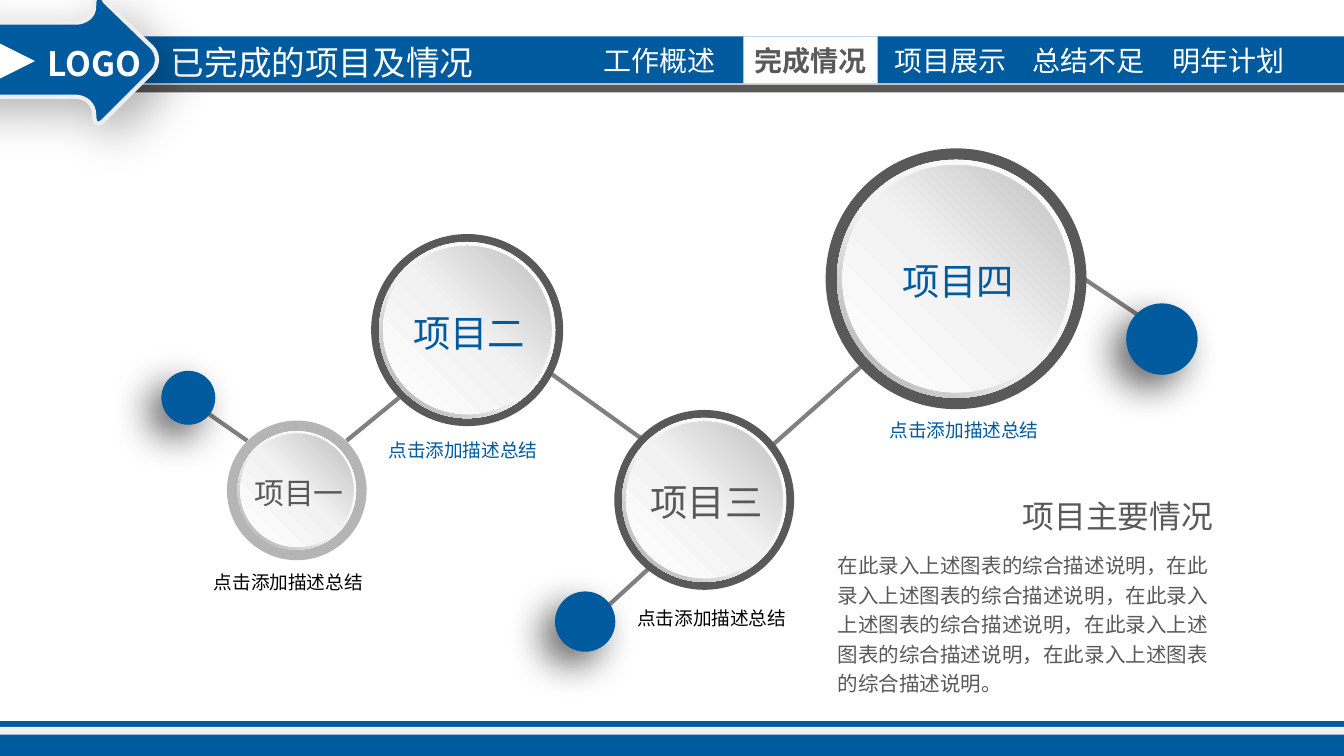
from lxml import etree
from pptx import Presentation
from pptx.dml.color import RGBColor
from pptx.enum.shapes import MSO_CONNECTOR, MSO_SHAPE
from pptx.enum.text import MSO_ANCHOR, PP_ALIGN
from pptx.oxml.ns import qn
from pptx.util import Cm, Pt

FONT = "Noto Sans CJK SC"
BLUE = RGBColor(0x00, 0x5A, 0x9E)
GRAY = RGBColor(0x59, 0x59, 0x59)
LINE_GRAY = RGBColor(0x80, 0x80, 0x80)
PALE = RGBColor(0xF2, 0xF2, 0xF2)
EDGE = RGBColor(0xEE, 0xEE, 0xEE)
NEAR_BLACK = RGBColor(0x0D, 0x0D, 0x0D)
BLACK = RGBColor(0x00, 0x00, 0x00)
WHITE = RGBColor(0xFF, 0xFF, 0xFF)
RING_STOPS = ((0, WHITE), (55, PALE), (100, RGBColor(0xA6, 0xA6, 0xA6)))
FACE_STOPS = ((0, WHITE), (51, PALE), (100, RGBColor(0xBF, 0xBF, 0xBF)))

RECTANGLE, OVAL, DONUT = MSO_SHAPE.RECTANGLE, MSO_SHAPE.OVAL, MSO_SHAPE.DONUT
EXTRACT = MSO_SHAPE.FLOWCHART_EXTRACT
STRAIGHT = MSO_CONNECTOR.STRAIGHT
LEFT, CENTER, RIGHT = PP_ALIGN.LEFT, PP_ALIGN.CENTER, PP_ALIGN.RIGHT
TOP, MIDDLE = MSO_ANCHOR.TOP, MSO_ANCHOR.MIDDLE

ARROW_START = (1.85, -0.08)
ARROW_STEPS = [
    [(1.9, -0.08), (1.96, -0.03), (1.98, 0.03)],
    [(2.87, 0.89)],
    [(3, 1.02), (3, 1.24), (2.87, 1.37)],
    [(1.98, 2.26)],
    [(1.85, 2.39), (1.78, 2.36), (1.78, 2.16)],
    [(1.78, 1.98), (1.63, 1.83), (1.42, 1.83)],
    [(-0.76, 1.83)],
    [(-0.94, 1.83), (-1.09, 1.65), (-1.09, 1.47)],
    [(-1.09, 0.79)],
    [(-1.09, 0.61), (-0.94, 0.43), (-0.76, 0.43)],
    [(1.42, 0.43)],
    [(1.63, 0.43), (1.78, 0.3), (1.78, 0.13)],
    [(1.78, 0), (1.8, -0.08), (1.85, -0.08)],
]


def curve_points(start, steps, pieces=8):
    points, current = [], start
    for step in steps:
        if len(step) == 3:
            controls = [current, *step]
            for index in range(1, pieces + 1):
                t = index / pieces
                weights = ((1 - t) ** 3, 3 * t * (1 - t) ** 2, 3 * t * t * (1 - t), t ** 3)
                points.append(tuple(sum(w * point[axis] for w, point in zip(weights, controls))
                                    for axis in (0, 1)))
        else:
            points.append(step[0])
        current = step[-1]
    return points


class SlideBuilder:
    """Draws the elements of one slide in a shared style."""

    def __init__(self, slide):
        self.slide = slide

    def style(self, shape, color, alpha=None):
        shape.shadow.inherit = False
        shape.line.fill.background()
        shape.fill.solid()
        shape.fill.fore_color.rgb = color
        if alpha is not None:
            color_node = shape._element.spPr.find(qn("a:solidFill"))[0]
            etree.SubElement(color_node, qn("a:alpha")).set("val", str(alpha * 1000))

    def shape(self, kind, left, top, width, height, color, parent=None, alpha=None):
        shapes = (parent or self.slide).shapes
        shape = shapes.add_shape(kind, Cm(left), Cm(top), Cm(width), Cm(height))
        self.style(shape, color, alpha)
        return shape

    def disc(self, x, y, diameter, color, kind=OVAL, parent=None, alpha=None):
        return self.shape(kind, x - diameter / 2, y - diameter / 2, diameter, diameter,
                          color, parent, alpha)

    def gradient(self, shape, stops, angle):
        properties = shape._element.spPr
        properties.remove(properties.find(qn("a:solidFill")))
        fill = etree.Element(qn("a:gradFill"))
        stop_list = etree.SubElement(fill, qn("a:gsLst"))
        for position, color in stops:
            stop = etree.SubElement(stop_list, qn("a:gs"), pos=str(position * 1000))
            etree.SubElement(stop, qn("a:srgbClr"), val=str(color))
        etree.SubElement(fill, qn("a:lin"), ang=str(angle * 60000), scaled="0")
        properties.insert(2, fill)

    def shadow(self, shape, alpha, blur, angle):
        effects = shape._element.spPr.find(qn("a:effectLst"))
        shadow = etree.SubElement(effects, qn("a:outerShdw"), blurRad=str(int(Pt(blur))),
                                  dist=str(int(Pt(10))), dir=str(angle * 60000),
                                  algn="ctr", rotWithShape="0")
        color = etree.SubElement(shadow, qn("a:srgbClr"), val=str(BLACK))
        etree.SubElement(color, qn("a:alpha"), val=str(alpha * 1000))

    def label(self, shape, text, size, color, align=LEFT, anchor=TOP, bold=False,
              wrap=True, spacing=None):
        frame = shape.text_frame
        frame.word_wrap = wrap
        frame.vertical_anchor = anchor
        frame.margin_left = frame.margin_right = Cm(0.18)
        frame.margin_top = frame.margin_bottom = Cm(0.1)
        paragraph = frame.paragraphs[0]
        paragraph.text = text
        paragraph.alignment = align
        if spacing:
            paragraph.line_spacing = spacing
        font = paragraph.font
        font.size, font.bold, font.name = Pt(size), bold, FONT
        font.color.rgb = color
        defaults = paragraph._p.pPr.find(qn("a:defRPr"))
        etree.SubElement(defaults, qn("a:ea"), typeface=FONT)

    def text(self, left, top, width, height, text, size, color, parent=None, **options):
        shapes = (parent or self.slide).shapes
        box = shapes.add_textbox(Cm(left), Cm(top), Cm(width), Cm(height))
        self.label(box, text, size, color, **options)

    def connector(self, x1, y1, x2, y2):
        line = self.slide.shapes.add_connector(STRAIGHT, Cm(x1), Cm(y1), Cm(x2), Cm(y2))
        line.line.color.rgb = LINE_GRAY
        line.line.width = Pt(2.25)
        etree.SubElement(line._element.spPr, qn("a:effectLst"))

    def project(self, x, y, rim, ring, name, size, color, rim_color=GRAY, alpha=None):
        group = self.slide.shapes.add_group_shape()
        self.disc(x, y, rim, rim_color, parent=group, alpha=alpha)
        donut = self.disc(x, y, ring, WHITE, DONUT, group)
        donut.adjustments[0] = 0.049
        self.gradient(donut, RING_STOPS, 135)
        face = self.disc(x, y, ring * 0.955, WHITE, parent=group)
        self.gradient(face, FACE_STOPS, 315)
        self.text(x - 1.28, y - 0.52, 2.64, 1.12, name, size, color, group,
                  align=CENTER, anchor=MIDDLE, wrap=False)

    def arrow(self):
        builder = self.slide.shapes.build_freeform(*map(Cm, ARROW_START))
        builder.add_line_segments([(Cm(x), Cm(y)) for x, y in
                                   curve_points(ARROW_START, ARROW_STEPS)])
        arrow = builder.convert_to_shape()
        self.style(arrow, BLUE)
        arrow.line.color.rgb = EDGE
        arrow.line.width = Pt(2.25)
        self.shadow(arrow, 30, 25, 45)


def main():
    presentation = Presentation()
    presentation.slide_width, presentation.slide_height = Cm(25.4), Cm(14.29)
    builder = SlideBuilder(presentation.slides.add_slide(presentation.slide_layouts[6]))

    footer = builder.shape(RECTANGLE, 0, 13.67, 25.4, 0.61, BLUE)
    footer.line.color.rgb = BLUE
    footer.line.width = Pt(2)
    builder.shape(RECTANGLE, 0, 13.74, 25.4, 0.15, PALE)
    builder.shape(RECTANGLE, 0, 0.69, 25.4, 0.89, BLUE)
    builder.shape(RECTANGLE, 0, 1.6, 25.4, 0.15, GRAY)

    for center, name in ((12.47, "工作概述"), (17.96, "项目展示"),
                         (20.57, "总结不足"), (23.22, "明年计划")):
        builder.text(center - 1.27, 0.69, 2.54, 0.89, name, 15, WHITE,
                     align=CENTER, anchor=MIDDLE)
    tab = builder.shape(RECTANGLE, 14.05, 0.69, 2.54, 0.89, WHITE)
    builder.label(tab, "完成情况", 15, GRAY, CENTER, MIDDLE, bold=True)

    for ends in ((6.55, 8.33, 7.54, 7.52), (10.41, 7.06, 12.29, 8.41),
                 (14.58, 8.43, 16.33, 6.88), (3.84, 7.75, 4.67, 8.33),
                 (11.46, 11.48, 12.29, 10.72), (20.4, 5.21, 21.56, 5.99)):
        builder.connector(*ends)

    for left, top, color in ((3.56, 10.62, BLACK), (6.86, 8.13, BLUE),
                             (11.56, 11.3, BLACK), (16.33, 7.75, BLUE)):
        builder.text(left, top, 3.78, 0.69, "点击添加描述总结", 10, color,
                     align=CENTER, spacing=Pt(14.1))

    builder.text(16.66, 9.29, 6.45, 0.97, "项目主要情况", 17, GRAY, align=RIGHT)
    summary = "，".join(["在此录入上述图表的综合描述说明"] * 5) + "。"
    builder.text(15.65, 10.26, 7.62, 3.02, summary, 11, GRAY, spacing=1.2)

    builder.project(8.83, 6.24, 3.63, 3.33, "项目二", 20, BLUE)
    builder.project(5.61, 9.27, 2.64, 2.24, "项目一", 16, GRAY, NEAR_BLACK, 30)
    builder.project(13.31, 9.45, 3.4, 3.1, "项目三", 20, GRAY)
    builder.project(18.07, 5.27, 4.93, 4.5, "项目四", 20, BLUE)

    for x, y, diameter in ((3.56, 7.52, 1.02), (11.06, 11.75, 1.14), (21.96, 6.41, 1.35)):
        builder.shadow(builder.disc(x, y, diameter, BLUE), 60, 20, 135)

    builder.text(3.05, 0.69, 6.15, 0.97, "已完成的项目及情况", 18, WHITE, wrap=False)
    builder.arrow()
    builder.text(0.71, 0.71, 2.54, 0.97, "LOGO", 18, WHITE, bold=True)
    pointer = builder.shape(EXTRACT, -0.13, 0.76, 0.79, 0.79, WHITE)
    pointer.rotation = 90

    presentation.save("out.pptx")


if __name__ == "__main__":
    main()
